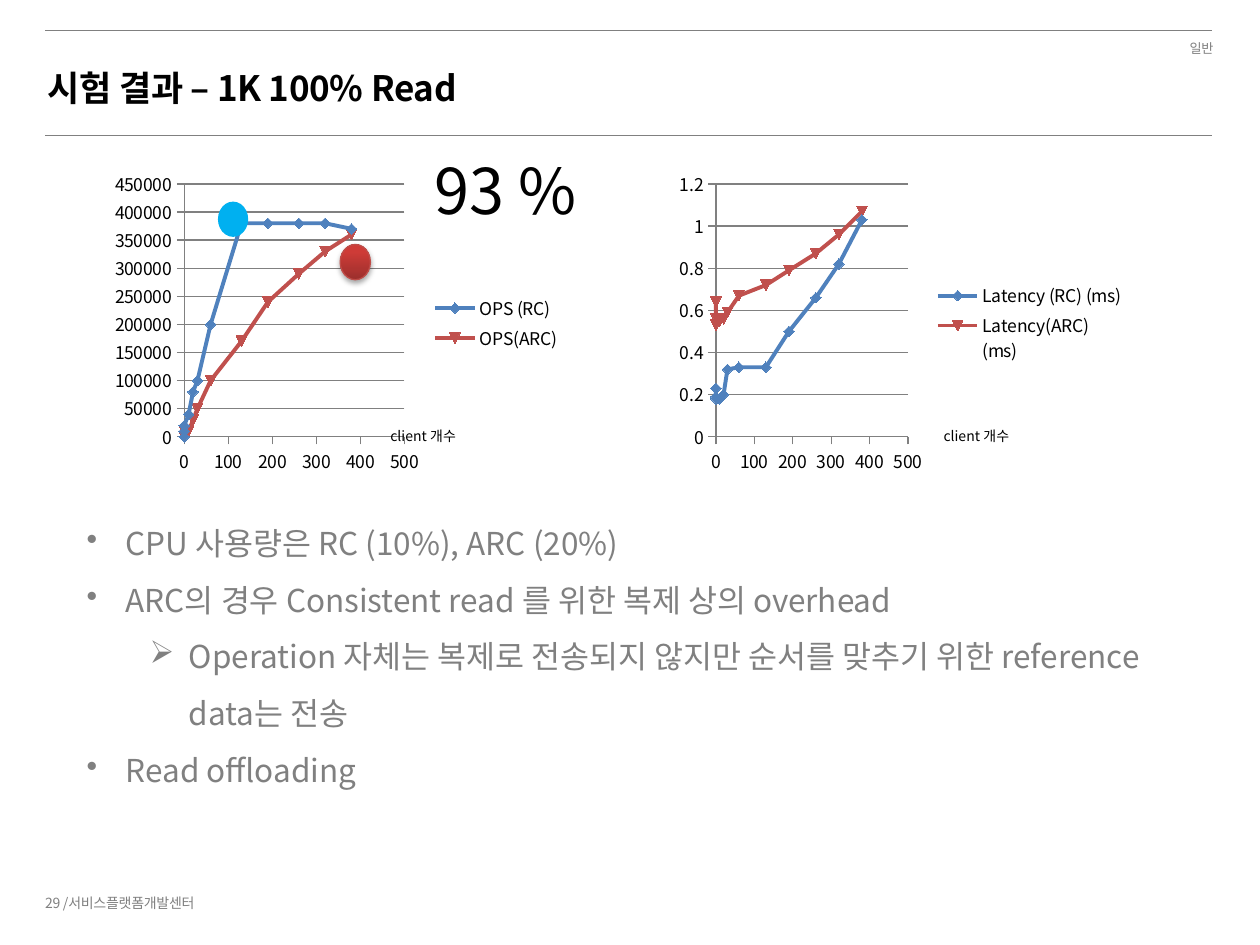
from dataclasses import dataclass

from lxml import etree
from pptx import Presentation
from pptx import util as u
from pptx.chart import data as chart_data
from pptx.dml.color import RGBColor
from pptx.enum import chart as ch
from pptx.enum import shapes, text
from pptx.oxml import parse_xml
from pptx.oxml.ns import nsdecls, qn


@dataclass(frozen=True)
class Theme:
    font: str = "Noto Sans CJK KR"
    black: str = "000000"
    gray: str = "808080"
    blue: str = "4F81BD"
    red: str = "C0504D"
    sky: str = "00B0F0"
    ball_dark: str = "9C2F2D"
    ball_light: str = "CE3B37"
    ball_edge: str = "BF4C48"
    tag_size: float = 7.5
    small_size: float = 8
    chart_size: float = 10
    body_size: float = 18
    title_size: float = 20
    figure_size: float = 36


class SlideBuilder:
    def __init__(self, page, theme):
        self.page = page
        self.theme = theme

    def style(self, font, size, color, bold=False):
        font.name = self.theme.font
        font.size = u.Pt(size)
        font.bold = bold
        font.color.rgb = RGBColor.from_string(color)

    def style_runs(self, para, size, color, bold=False, spacing=0):
        for span in para.runs:
            self.style(span.font, size, color, bold)
            props = span._r.get_or_add_rPr()
            if spacing:
                props.set("spc", str(spacing))
            etree.SubElement(props, qn("a:ea"), typeface=self.theme.font)

    def frame(self, at, wrap=True):
        box = self.page.shapes.add_textbox(*map(u.Inches, at))
        box.text_frame.word_wrap = wrap
        return box.text_frame

    def label(self, words, at, size, color, wrap=True, bold=False, spacing=0,
              align=text.PP_ALIGN.LEFT, anchor=text.MSO_ANCHOR.TOP, leading=None):
        frame = self.frame(at, wrap)
        frame.vertical_anchor = anchor
        frame.text = words
        para = frame.paragraphs[0]
        para.alignment = align
        para.line_spacing = leading
        self.style_runs(para, size, color, bold, spacing)

    def bullets(self, items, at):
        frame = self.frame(at)
        for index, (level, words) in enumerate(items):
            para = frame.add_paragraph() if index else frame.paragraphs[0]
            para.text = words
            para.level = level
            para.line_spacing = 1.5
            props = para._p.get_or_add_pPr()
            props.set("marL", str(u.Inches(0.31 + 0.5 * level)))
            props.set("indent", str(u.Inches(-0.31)))
            etree.SubElement(props, qn("a:buChar"), char="•➢"[level])
            self.style_runs(para, self.theme.body_size, self.theme.gray)

    def rule(self, top):
        line = self.page.shapes.add_connector(
            shapes.MSO_CONNECTOR.STRAIGHT,
            u.Inches(0.36), u.Inches(top), u.Inches(9.62), u.Inches(top))
        line.line.color.rgb = RGBColor.from_string(self.theme.gray)
        line.line.width = u.Pt(0.25)
        etree.SubElement(line._element.spPr, qn("a:effectLst"))

    def dot(self, left, top):
        ball = self.page.shapes.add_shape(
            shapes.MSO_SHAPE.OVAL, u.Inches(left), u.Inches(top),
            u.Inches(0.24), u.Inches(0.28))
        ball.shadow.inherit = False
        ball.fill.solid()
        ball.fill.fore_color.rgb = RGBColor.from_string(self.theme.sky)
        ball.line.fill.background()
        return ball

    def shaded_dot(self, left, top):
        ball = self.dot(left, top)
        ball.fill.gradient()
        ball.fill.gradient_angle = 90
        stops = ((0, self.theme.ball_dark), (0.8, self.theme.ball_light))
        for stop, (position, color) in zip(ball.fill.gradient_stops, stops):
            stop.position = position
            stop.color.rgb = RGBColor.from_string(color)
        ball.line.color.rgb = RGBColor.from_string(self.theme.ball_edge)
        ball.line.width = u.Pt(0.75)
        effects = ball._element.spPr.find(qn("a:effectLst"))
        effects.append(parse_xml(
            f'<a:outerShdw {nsdecls("a")} blurRad="{u.Pt(3.1)}" dist="{u.Pt(1.8)}" '
            'dir="5400000" rotWithShape="0"><a:srgbClr val="000000">'
            '<a:alpha val="35000"/></a:srgbClr></a:outerShdw>'))

    def scatter(self, left, clients, results, top_value, step, number_format, plot_area):
        data = chart_data.XyChartData(number_format=number_format)
        for name, values in results:
            series = data.add_series(name)
            for point in zip(clients, values):
                series.add_data_point(*point)
        chart = self.page.shapes.add_chart(
            ch.XL_CHART_TYPE.XY_SCATTER_LINES, u.Inches(left), u.Inches(1.31),
            u.Inches(3.72), u.Inches(2.51), data).chart
        self.style(chart.font, self.theme.chart_size, self.theme.black)
        chart.has_title = False
        chart.has_legend = True
        chart.legend.position = ch.XL_LEGEND_POSITION.RIGHT
        chart.legend.include_in_layout = False
        chart.plots[0].vary_by_categories = False
        axes = ((chart.category_axis, 500, 100, "0"),
                (chart.value_axis, top_value, step, number_format))
        for axis, maximum, unit, shown in axes:
            axis.minimum_scale, axis.maximum_scale = 0, maximum
            axis.major_unit = unit
            axis.major_tick_mark = ch.XL_TICK_MARK.OUTSIDE
            axis.tick_labels.number_format = shown
            axis.tick_labels.number_format_is_linked = False
            axis.format.line.color.rgb = RGBColor.from_string(self.theme.gray)
        chart.category_axis.has_major_gridlines = False
        grid = chart.value_axis.major_gridlines.format.line
        grid.color.rgb = RGBColor.from_string(self.theme.gray)
        colors = (self.theme.blue, self.theme.red)
        for order, (series, color) in enumerate(zip(chart.plots[0].series, colors), 1):
            series._element.find(qn("c:idx")).set("val", str(order))
            series.smooth = False
            series.format.line.width = u.Pt(2.25)
            series.format.line.color.rgb = RGBColor.from_string(color)
            series.marker.size = 6
            series.marker.format.fill.solid()
            series.marker.format.fill.fore_color.rgb = RGBColor.from_string(color)
            series.marker.format.line.color.rgb = RGBColor.from_string(color)
        self.place_plot(chart, plot_area)

    def place_plot(self, chart, plot_area):
        area = chart._chartSpace.chart.plotArea
        for old in area.findall(qn("c:layout")):
            area.remove(old)
        layout = etree.Element(qn("c:layout"))
        manual = etree.SubElement(layout, qn("c:manualLayout"))
        settings = [("layoutTarget", "inner"), ("xMode", "edge"), ("yMode", "edge")]
        settings += zip("xywh", map(str, plot_area))
        for tag, value in settings:
            etree.SubElement(manual, qn(f"c:{tag}"), val=value)
        area.insert(0, layout)


def main():
    theme = Theme()
    deck = Presentation()
    deck.slide_width, deck.slide_height = u.Inches(10), u.Inches(7.5)
    page = deck.slides.add_slide(deck.slide_layouts[6])
    build = SlideBuilder(page, theme)

    for top in (0.24, 1.07):
        build.rule(top)
    build.label("일반", (8.71, 0.22, 1.02, 0.27), theme.tag_size, theme.gray,
                spacing=-20, align=text.PP_ALIGN.RIGHT, leading=1.4)
    build.label("29 /서비스플랫폼개발센터", (0.26, 7.03, 3.04, 0.27), theme.small_size,
                theme.gray, spacing=-20, anchor=text.MSO_ANCHOR.MIDDLE)
    build.label("시험 결과 – 1K 100% Read", (0.28, 0.48, 9.45, 0.44), theme.title_size,
                theme.black, bold=True, spacing=-20)
    build.bullets([
        (0, "CPU 사용량은 RC (10%), ARC (20%)"),
        (0, "ARC의 경우 Consistent read 를 위한 복제 상의 overhead"),
        (1, "Operation 자체는 복제로 전송되지 않지만 순서를 맞추기 위한 reference data는 전송"),
        (0, "Read offloading"),
    ], (0.59, 3.96, 8.66, 2.37))

    clients = (0, 0, 0, 10, 20, 30, 60, 130, 190, 260, 320, 380)
    throughput = [
        ("OPS (RC)", (0, 10000, 20000, 40000, 80000, 100000, 200000, 380000,
                      380000, 380000, 380000, 370000)),
        ("OPS(ARC)", (0, 0, 10000, 10000, 30000, 50000, 100000, 170000,
                      240000, 290000, 330000, 360000)),
    ]
    latency = [
        ("Latency (RC) (ms)", (0.23, 0.19, 0.18, 0.18, 0.2, 0.32, 0.33, 0.33,
                               0.5, 0.66, 0.82, 1.03)),
        ("Latency(ARC)(ms)", (0.64, 0.56, 0.53, 0.55, 0.56, 0.59, 0.67, 0.72,
                              0.79, 0.87, 0.96, 1.07)),
    ]
    build.scatter(0.83, clients, throughput, 450000, 50000, "0", (0.17, 0.06, 0.47, 0.8))
    build.scatter(5.31, clients, latency, 1.2, 0.2, "General", (0.1, 0.06, 0.41, 0.8))

    build.label("93 %", (3.35, 1.15, 1.36, 0.71), theme.figure_size, theme.black, wrap=False)
    build.dot(1.73, 1.6)
    build.shaded_dot(2.7, 1.94)
    for left in (3, 7.39):
        build.label("client 개수", (left, 3.34, 0.77, 0.24), theme.small_size,
                    theme.black, wrap=False)
    deck.save("out.pptx")


if __name__ == "__main__":
    main()
